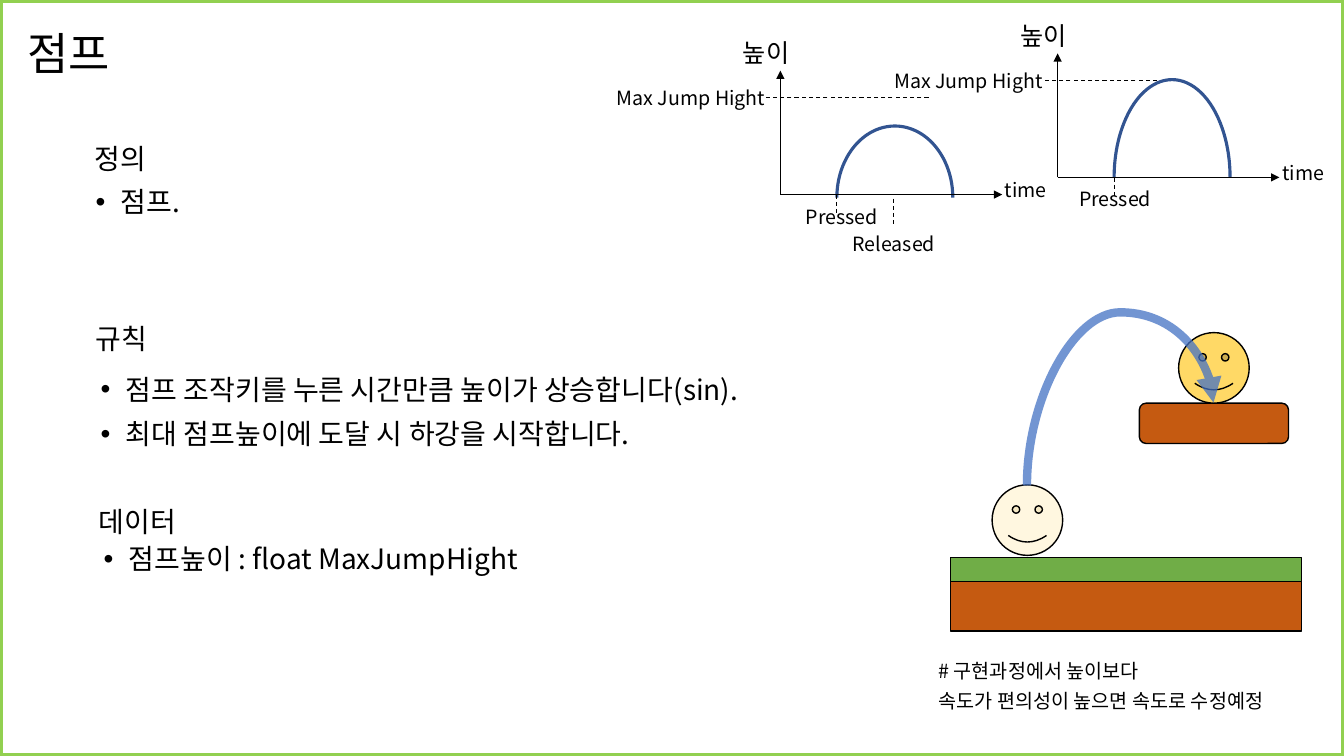
from pptx import Presentation
from pptx.dml.color import RGBColor
from pptx.enum.dml import MSO_LINE
from pptx.enum.shapes import MSO_CONNECTOR, MSO_SHAPE
from pptx.enum.text import MSO_ANCHOR, PP_ALIGN
from pptx.oxml.ns import qn
from pptx.util import Inches, Pt
from lxml import etree

FONT = "Noto Sans CJK KR"
BLACK = RGBColor(0x00, 0x00, 0x00)
BROWN = RGBColor(0xC5, 0x5A, 0x11)
GREEN = RGBColor(0x70, 0xAD, 0x47)
YELLOW = RGBColor(0xFF, 0xD9, 0x66)
BLUE = RGBColor(0x44, 0x72, 0xC4)
NAVY = RGBColor(0x32, 0x54, 0x91)
LIME = RGBColor(0x92, 0xD0, 0x50)
RECT, ROUNDED = MSO_SHAPE.RECTANGLE, MSO_SHAPE.ROUNDED_RECTANGLE
SMILEY, ARC = MSO_SHAPE.SMILEY_FACE, MSO_SHAPE.ARC
STRAIGHT, CURVE = MSO_CONNECTOR.STRAIGHT, MSO_CONNECTOR.CURVE
DASH = MSO_LINE.DASH
CENTER, MIDDLE = PP_ALIGN.CENTER, MSO_ANCHOR.MIDDLE


def add_text(slide, box, lines, size, spacing=1.0, before=0, bullet=False,
             align=None, anchor=None):
    """Write one paragraph per line into a box (left, top, width, height)."""
    frame = slide.shapes.add_textbox(*map(Inches, box)).text_frame
    frame.word_wrap = True
    if anchor is not None:
        frame.vertical_anchor = anchor
    for number, line in enumerate(lines):
        paragraph = frame.add_paragraph() if number else frame.paragraphs[0]
        paragraph.text = line
        paragraph.line_spacing = spacing
        paragraph.space_before = Pt(before)
        paragraph.alignment = align
        font = paragraph.font
        font.size, font.name = Pt(size), FONT
        font.color.rgb = BLACK
        properties = paragraph._p.pPr
        defaults = properties.find(qn("a:defRPr"))
        etree.SubElement(defaults, qn("a:ea"), typeface=FONT)
        if bullet:
            properties.set("marL", str(Inches(0.25)))
            properties.set("indent", str(-Inches(0.25)))
            defaults.addprevious(properties.makeelement(qn("a:buFont"), {"typeface": "Arial"}))
            defaults.addprevious(properties.makeelement(qn("a:buChar"), {"char": "•"}))


def set_alpha(fill_format, percent):
    """Make a solid colour partly transparent."""
    color = fill_format.find(".//" + qn("a:srgbClr"))
    etree.SubElement(color, qn("a:alpha"), val=str(percent * 1000))


def add_figure(slide, kind, box, fill=None, line=BLACK, width=1):
    """Draw a preset shape in a box, hollow when no fill is given."""
    figure = slide.shapes.add_shape(kind, *map(Inches, box))
    figure.shadow.inherit = False
    if fill is None:
        figure.fill.background()
    else:
        figure.fill.solid()
        figure.fill.fore_color.rgb = fill
    figure.line.color.rgb = line
    figure.line.width = Pt(width)
    return figure


def add_line(slide, start, end, width=0.75, color=BLACK, dash=None, arrow=False,
             kind=STRAIGHT):
    """Draw a connector from start to end."""
    connector = slide.shapes.add_connector(kind, *map(Inches, (*start, *end)))
    connector.line.color.rgb = color
    connector.line.width = Pt(width)
    if dash is not None:
        connector.line.dash_style = dash
    properties = connector._element.spPr
    if arrow:
        etree.SubElement(properties.find(qn("a:ln")), qn("a:tailEnd"), type="triangle")
    etree.SubElement(properties, qn("a:effectLst"))
    return connector


def draw_section(slide, left, top, heading, rules, rules_left, rules_top, rules_width):
    """Place a heading with its bullets, offset from the heading's corner."""
    style = {"size": 20, "spacing": 0.9, "before": 10}
    add_text(slide, (left, top, 2.03, 0.43), [heading], **style)
    add_text(slide, (left + rules_left, top + rules_top, rules_width, 1.43),
             rules, bullet=True, **style)


def draw_graph(slide, x, y, peak, limit_end, pressed_x, foot=0, released=False):
    """Plot a jump over time with the axes crossing at (x, y)."""
    limit, pressed, span = y - 0.96, x + 0.56, 1.15
    add_text(slide, (x - 0.47, y - 1.61, 1.27, 0.4), ["높이"], 18)
    add_line(slide, (x + limit_end, limit), (x - 0.14, limit), dash=DASH)
    add_figure(slide, ARC, (pressed, y - peak, span, 2 * (peak + foot)),
               line=NAVY, width=2.25).adjustments[0] = 108
    for end in ((x + 2.2, y), (x, y - 1.23)):
        add_line(slide, (x, y), end, width=1, arrow=True)
    add_line(slide, (pressed, y), (pressed, y + 0.19), dash=DASH)
    labels = [("Max Jump Hight", x - 1.75, y - 1.13, 1.73),
              ("Pressed", x + pressed_x, y + 0.05, 1.12),
              ("time", x + 1.76, y - 0.21, 1.35)]
    if released:
        add_line(slide, (x + 1.12, y + 0.04), (x + 1.12, y + 0.32), dash=DASH)
        labels.append(("Released", x + 0.45, y + 0.32, 1.35))
    for label, left, top, width in labels:
        add_text(slide, (left, top, width, 0.34), [label], 14, align=CENTER)


def draw_jump(slide, x, y):
    """Show the character leaping from the ground to a ledge."""
    add_figure(slide, ROUNDED, (x + 1.87, y + 0.89, 1.48, 0.4), BROWN)
    add_figure(slide, RECT, (x, y + 2.42, 3.48, 0.24), GREEN)
    add_figure(slide, RECT, (x, y + 2.66, 3.48, 0.49), BROWN)
    before = add_figure(slide, SMILEY, (x + 0.41, y + 1.7, 0.7, 0.7), YELLOW)
    set_alpha(before._element.spPr.find(qn("a:solidFill")), 20)
    add_figure(slide, SMILEY, (x + 2.26, y + 0.19, 0.7, 0.7), YELLOW)
    leap = add_line(slide, (x + 2.09, y + 2.22), (x + 1.27, y + 0.37), width=6,
                    color=BLUE, arrow=True, kind=CURVE)
    properties = leap._element.spPr
    set_alpha(properties.find(qn("a:ln")), 75)
    properties.find(qn("a:xfrm")).set("rot", str(90 * 60000))
    bends = properties.find(qn("a:prstGeom")).find(qn("a:avLst"))
    etree.SubElement(bends, qn("a:gd"), name="adj1", fmla="val 209300")


def draw_page(slide, width, height):
    """Lay out the whole slide."""
    add_text(slide, (0.17, 0.15, 3.88, 0.81), ["점프"], 32, spacing=0.9, anchor=MIDDLE)
    draw_section(slide, 0.84, 1.39, "정의", ["점프."], 0.01, 0.43, 7.5)
    draw_section(slide, 0.85, 3.18, "규칙",
                 ["점프 조작키를 누른 시간만큼 높이가 상승합니다(sin).",
                  "최대 점프높이에 도달 시 하강을 시작합니다."], 0.05, 0.5, 7.5)
    draw_section(slide, 0.88, 4.99, "데이터", ["점프높이 : float MaxJumpHight"],
                 0.05, 0.37, 5.02)
    draw_jump(slide, 9.43, 3.11)
    draw_graph(slide, 10.49, 1.76, 0.97, 1.13, 0.01)
    draw_graph(slide, 7.74, 1.93, 0.68, 1.47, 0.05, foot=0.03, released=True)
    add_text(slide, (9.21, 6.55, 4.12, 0.68),
             ["# 구현과정에서 높이보다", "속도가 편의성이 높으면 속도로 수정예정"],
             14, spacing=0.7, before=10)
    add_figure(slide, RECT, (0, 0, width, height), line=LIME, width=4.5)


presentation = Presentation()
presentation.slide_width, presentation.slide_height = Inches(13.33), Inches(7.5)
page = presentation.slides.add_slide(presentation.slide_layouts[6])
draw_page(page, 13.33, 7.5)
presentation.save("out.pptx")
